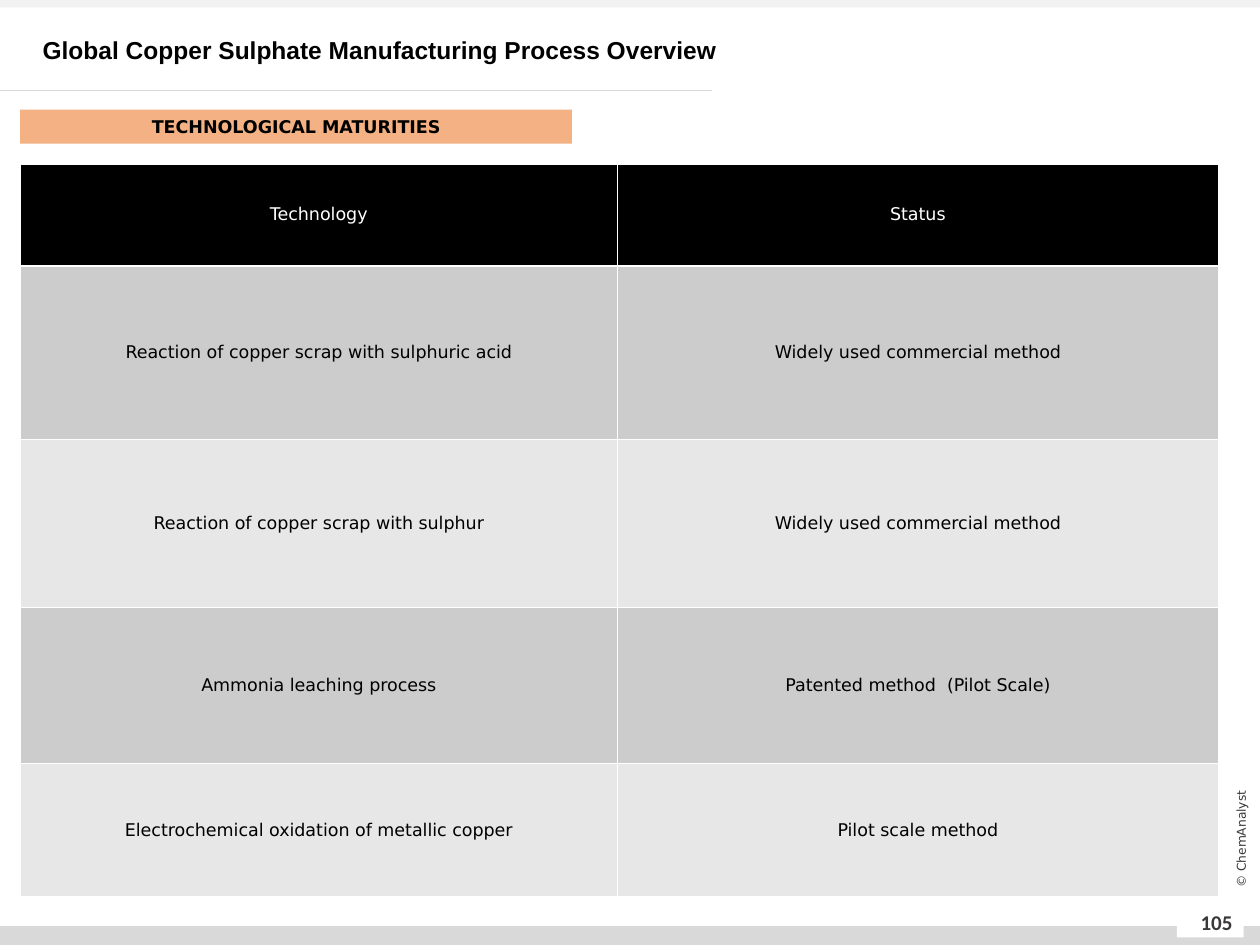
from lxml import etree
from pptx import Presentation
from pptx.dml.color import RGBColor
from pptx.enum.shapes import MSO_CONNECTOR, MSO_SHAPE
from pptx.enum.text import MSO_ANCHOR, PP_ALIGN
from pptx.oxml.ns import qn
from pptx.util import Inches, Pt

RECT = MSO_SHAPE.RECTANGLE
STRAIGHT = MSO_CONNECTOR.STRAIGHT
MIDDLE = MSO_ANCHOR.MIDDLE
LEFT, CENTER = PP_ALIGN.LEFT, PP_ALIGN.CENTER
SANS = "DejaVu Sans"

deck = Presentation()
deck.slide_width, deck.slide_height = Inches(10), Inches(7.5)
slide = deck.slides.add_slide(deck.slide_layouts[6])
shapes = slide.shapes
COL = deck.slide_width / 100
ROW = deck.slide_height / 75


def paint(target, color):
    if hasattr(target, "solid"):
        target.solid()
        target = target.fore_color
    target.rgb = RGBColor.from_string(color)


def write(frame, text, size=10, font=SANS, color="000000", bold=False, align=CENTER, spacing=None):
    frame.word_wrap = True
    frame.vertical_anchor = MIDDLE
    paragraph = frame.paragraphs[0]
    paragraph.alignment = align
    if spacing:
        paragraph.line_spacing = Pt(spacing)
    run = paragraph.add_run()
    run.text = text
    run.font.size, run.font.name, run.font.bold = Pt(size), font, bold
    paint(run.font.color, color)


bands = [
    (0, 73.5, 100, 1.5, "D9D9D9", None),
    (0, 0, 100, 0.6, "F2F2F2", None),
    (93.4, 72.2, 5.3, 2.2, "FFFFFF", None),
    (1.6, 8.7, 43.8, 2.7, "F4B183", "TECHNOLOGICAL MATURITIES"),
]
for left, top, width, height, color, heading in bands:
    band = shapes.add_shape(RECT, int(left * COL), int(top * ROW), int(width * COL), int(height * ROW))
    band.shadow.inherit = False
    paint(band.fill, color)
    band.line.fill.background()
    if heading:
        write(band.text_frame, heading, bold=True)

title_rule = shapes.add_connector(STRAIGHT, 0, int(7.2 * ROW), int(56.5 * COL), int(7.2 * ROW))
paint(title_rule.line.fill, "D9D9D9")
title_rule.line.width = Pt(0.5)
etree.SubElement(title_rule.element.spPr, qn("a:effectLst"))

captions = [
    (94.1, 71.2, 4.9, 4, 0, "105", dict(size=12, font="Calibri", color="3B3838", bold=True)),
    (92.5, 65.8, 12, 1.6, 270, "© ChemAnalyst", dict(size=7, color="3B3838")),
    (2.4, 2.2, 88.7, 3.4, 0, "Global Copper Sulphate Manufacturing Process Overview",
     dict(size=14, font="Arial", bold=True, align=LEFT, spacing=17)),
]
for left, top, width, height, turn, text, style in captions:
    caption = shapes.add_textbox(int(left * COL), int(top * ROW), int(width * COL), int(height * ROW))
    caption.rotation = turn
    write(caption.text_frame, text, **style)

maturities = [
    ("Technology", "Status"),
    ("Reaction of copper scrap with sulphuric acid", "Widely used commercial method"),
    ("Reaction of copper scrap with sulphur", "Widely used commercial method"),
    ("Ammonia leaching process", "Patented method  (Pilot Scale)"),
    ("Electrochemical oxidation of metallic copper", "Pilot scale method"),
]
column_widths = [47.4, 47.7]
row_heights = [8.1, 13.8, 13.3, 12.4, 10.6]
table = shapes.add_table(
    len(row_heights), len(column_widths), int(1.6 * COL), int(13 * ROW),
    int(sum(column_widths) * COL), int(sum(row_heights) * ROW),
).table
for column, width in zip(table.columns, column_widths):
    column.width = int(width * COL)
for index, (row, height, texts) in enumerate(zip(table.rows, row_heights, maturities)):
    row.height = int(height * ROW)
    fill = "000000" if index == 0 else ("E7E7E7", "CCCCCC")[index % 2]
    for cell, text in zip(row.cells, texts):
        write(cell.text_frame, text, color="FFFFFF" if index == 0 else "000000")
        cell.vertical_anchor = MIDDLE
        properties = cell._tc.get_or_add_tcPr()
        for side in ("lnL", "lnR", "lnT", "lnB"):
            border = etree.SubElement(properties, qn(f"a:{side}"), w=str(Pt(1)))
            solid = etree.SubElement(border, qn("a:solidFill"))
            etree.SubElement(solid, qn("a:srgbClr"), val="FFFFFF")
        paint(cell.fill, fill)

deck.save("out.pptx")
